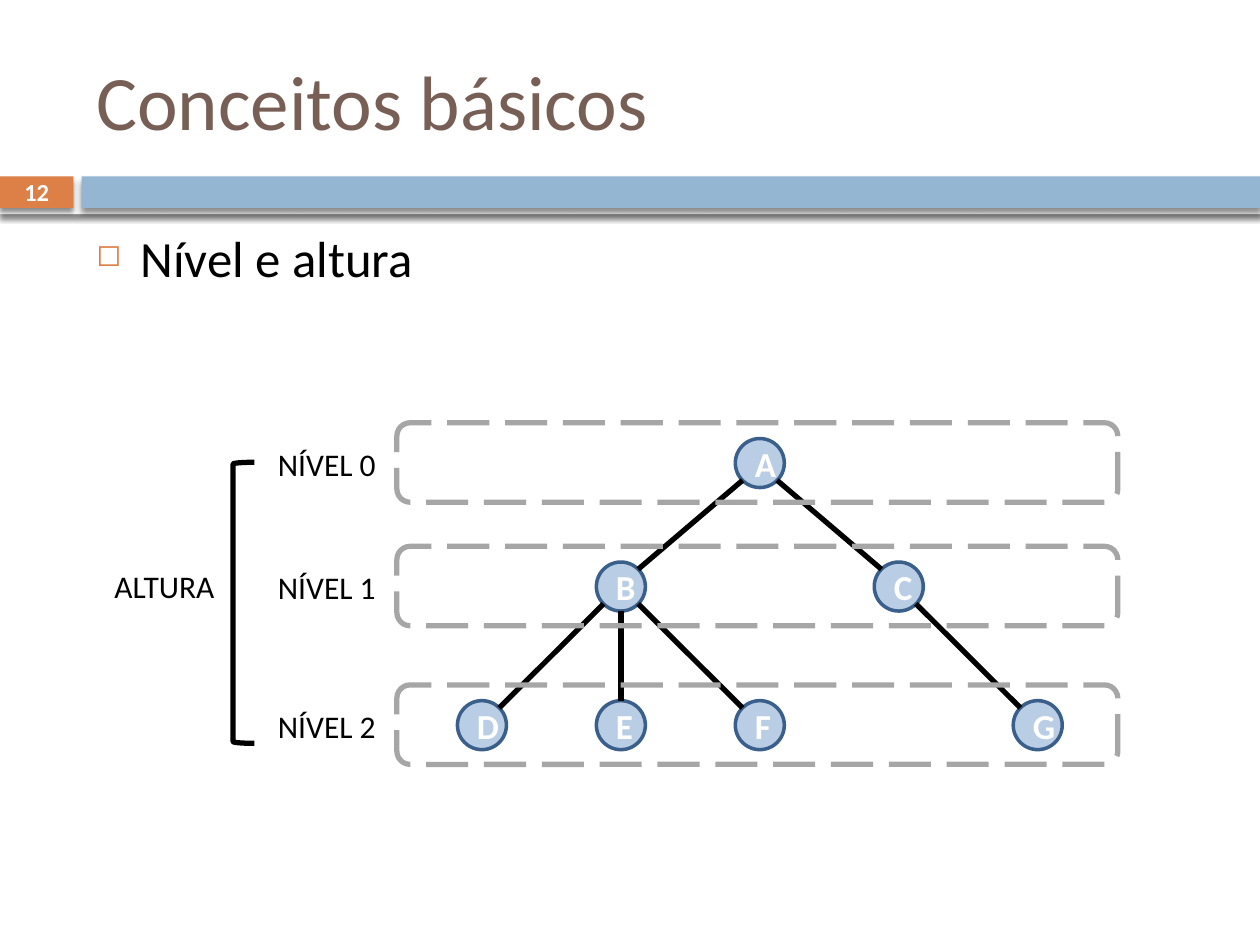
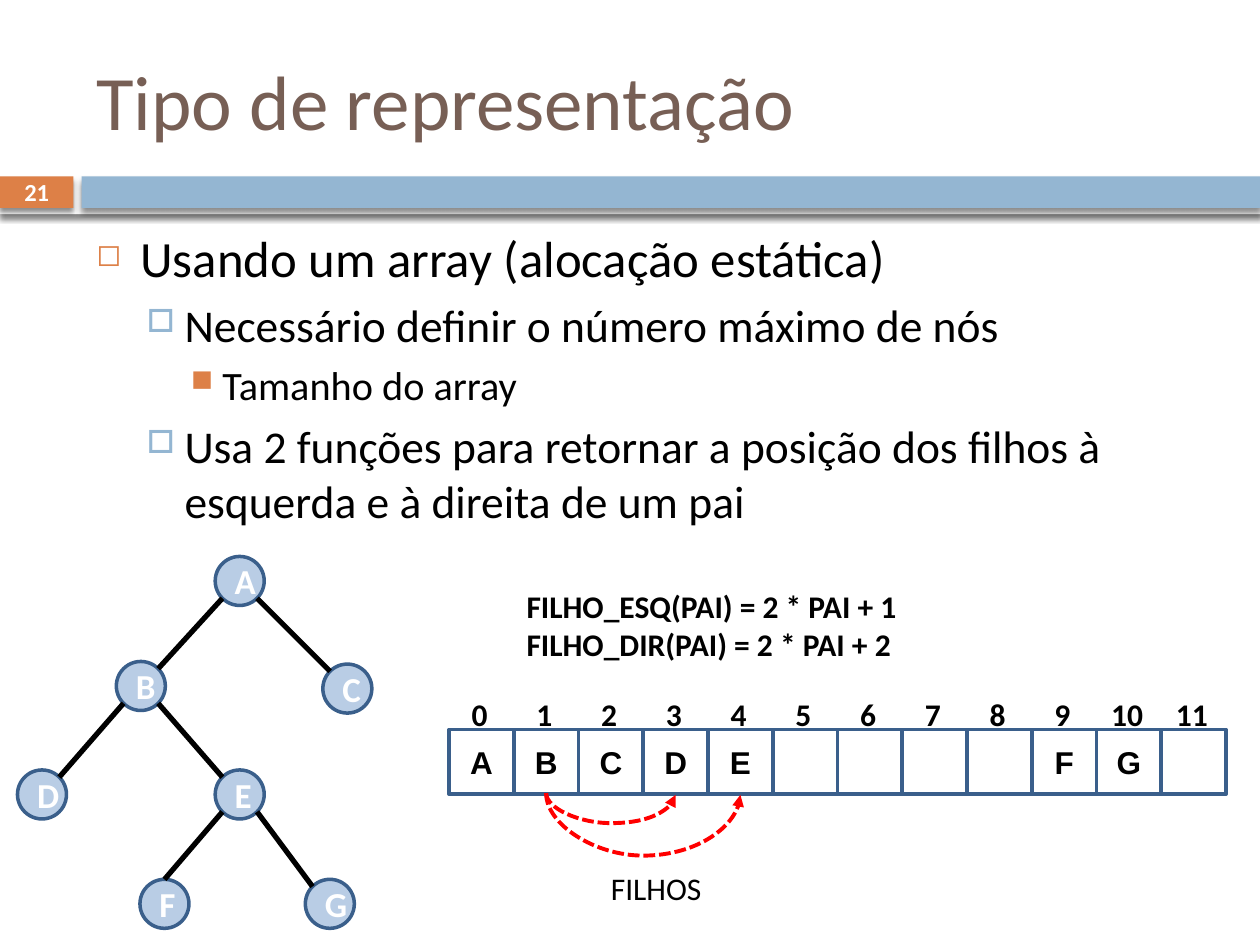
from math import sqrt

from lxml import etree
from pptx import Presentation
from pptx.dml.color import RGBColor
from pptx.enum.dml import MSO_LINE
from pptx.enum.shapes import MSO_CONNECTOR, MSO_SHAPE
from pptx.enum.text import MSO_ANCHOR, PP_ALIGN
from pptx.oxml.ns import qn
from pptx.util import Pt

# Enum members
RECTANGLE, ELLIPSE = MSO_SHAPE.RECTANGLE, MSO_SHAPE.OVAL
ROUNDED, BRACKET = MSO_SHAPE.ROUNDED_RECTANGLE, MSO_SHAPE.LEFT_BRACKET
STRAIGHT, CURVE = MSO_CONNECTOR.STRAIGHT, MSO_CONNECTOR.CURVE
LEFT, CENTER = PP_ALIGN.LEFT, PP_ALIGN.CENTER
TOP, MIDDLE = MSO_ANCHOR.TOP, MSO_ANCHOR.MIDDLE
LONG_DASH, SHORT_DASH = MSO_LINE.LONG_DASH, MSO_LINE.SQUARE_DOT

# Colours
WHITE = RGBColor(0xFF, 0xFF, 0xFF)
BLACK = RGBColor(0x00, 0x00, 0x00)
ORANGE = RGBColor(0xDD, 0x80, 0x47)
BLUE = RGBColor(0x94, 0xB6, 0xD2)
BROWN = RGBColor(0x77, 0x5F, 0x55)
NODE_FILL = RGBColor(0xB9, 0xCD, 0xE5)
NODE_LINE = RGBColor(0x3A, 0x5F, 0x8B)
GRAY = RGBColor(0xA6, 0xA6, 0xA6)
RED = RGBColor(0xFF, 0x00, 0x00)

# Lengths in points
SLIDE_WIDTH, SLIDE_HEIGHT = 720, 540
BODY_BOX = (48, 126, 642, 354)
NODE_SIZE = 28
CELL_SIZE = 37
LABEL_HEIGHT = 29

# Per outline level: text size, left margin, hanging, space before, bullet
LEVELS = [
    (29, 25.2, 25.2, 7, "◻", ORANGE, 60),
    (26, 50.4, 21.6, 5.5, "□", BLUE, 70),
    (23, 72, 18, 5, "■", ORANGE, 75),
]


def points(*values):
    return [Pt(value) for value in values]


def add_xml(parent, tag, **attributes):
    """Append a DrawingML child element and return it."""
    return etree.SubElement(parent, qn(tag), attributes)


def write_text(shape, *lines, size=18, color=BLACK, bold=False, font="Calibri",
               align=CENTER, anchor=TOP):
    """Fill a shape with one paragraph for each line of text."""
    frame = shape.text_frame
    frame.word_wrap = True
    frame.vertical_anchor = anchor
    for index, line in enumerate(lines):
        paragraph = frame.add_paragraph() if index else frame.paragraphs[0]
        paragraph.alignment = align
        run = paragraph.add_run()
        run.text = line
        run.font.size, run.font.bold, run.font.name = Pt(size), bold, font
        run.font.color.rgb = color


def add_text(slide, box, *lines, **text_format):
    text_box = slide.shapes.add_textbox(*points(*box))
    write_text(text_box, *lines, **text_format)
    return text_box


def style_line(line, color, width, dash=None):
    line.color.rgb = color
    line.width = Pt(width)
    if dash:
        line.dash_style = dash


def add_shape(slide, kind, box, fill=None, line=None, width=2, dash=None):
    shape = slide.shapes.add_shape(kind, *points(*box))
    shape.shadow.inherit = False
    if fill is None:
        shape.fill.background()
    else:
        shape.fill.solid()
        shape.fill.fore_color.rgb = fill
    if line is None:
        shape.line.fill.background()
    else:
        style_line(shape.line, line, width, dash)
    return shape


def add_connector(slide, kind, start, end, color, width, dash=None):
    connector = slide.shapes.add_connector(kind, *points(*start, *end))
    style_line(connector.line, color, width, dash)
    add_xml(connector._element.spPr, "a:effectLst")
    return connector


def add_shadow(shape):
    """Drop a soft black shadow straight down."""
    effects = shape._element.spPr.find(qn("a:effectLst"))
    shadow = add_xml(effects, "a:outerShdw", blurRad=str(Pt(3)), dist=str(Pt(2.4)),
                     dir="5400000", algn="ctr", rotWithShape="0")
    color = add_xml(shadow, "a:srgbClr", val=str(BLACK))
    add_xml(color, "a:alpha", val="45000")


# Title, shadowed bands and slide number
def draw_header(slide, title, number):
    for box, fill in [((0, 97.2, SLIDE_WIDTH, 25.2), WHITE),
                      ((0, 100.8, 42, 18), ORANGE),
                      ((46.6, 100.8, SLIDE_WIDTH - 46.6, 18), BLUE)]:
        add_shadow(add_shape(slide, RECTANGLE, box, fill=fill))
    add_text(slide, (48, 18, 642, 78), title, size=44, color=BROWN,
             align=LEFT, anchor=MIDDLE)
    add_text(slide, (0, 100, 42, 19.5), str(number), size=14, color=WHITE,
             bold=True, anchor=MIDDLE)


# Bulleted outline: a list of (level, text)
def draw_outline(slide, box, items):
    text_box = add_text(slide, box, *[text for _, text in items], align=LEFT)
    for index, (level, _) in enumerate(items):
        size, margin, hanging, before, bullet, color, percent = LEVELS[level]
        paragraph = text_box.text_frame.paragraphs[index]
        paragraph.level = level
        paragraph.space_before = Pt(before if index else 0)
        properties = paragraph._p.get_or_add_pPr()
        properties.set("marL", str(Pt(margin)))
        properties.set("indent", str(-Pt(hanging)))
        bullet_color = add_xml(properties, "a:buClr")
        add_xml(bullet_color, "a:srgbClr", val=str(color))
        add_xml(properties, "a:buSzPct", val=str(percent * 1000))
        add_xml(properties, "a:buChar", char=bullet)
        paragraph.runs[0].font.size = Pt(size)


# Tree: node offsets from its corner, edges as parent-child pairs
def draw_tree(slide, left, top, nodes, edges, top_children=""):
    radius = NODE_SIZE / 2
    diagonal = radius / sqrt(2)
    for name, (x, y) in nodes.items():
        node = add_shape(slide, ELLIPSE, (left + x, top + y, NODE_SIZE, NODE_SIZE),
                         fill=NODE_FILL, line=NODE_LINE)
        write_text(node, name, size=20, color=WHITE, bold=True, anchor=MIDDLE)

    def rim(name, side, direction):
        """Point on a node's rim; side is -1, 0 or 1, direction -1 is up."""
        x, y = nodes[name]
        reach = diagonal if side else radius
        return (left + x + radius + side * diagonal,
                top + y + radius + direction * reach)

    for parent, child in edges:
        distance = nodes[child][0] - nodes[parent][0]
        side = (distance > 0) - (distance < 0)
        child_side = 0 if child in top_children else -side
        add_connector(slide, STRAIGHT, rim(parent, side, 1),
                      rim(child, child_side, -1), BLACK, 3)


# Levels diagram: tree, level bands with labels, and the height bracket
def draw_levels(slide, left, top):
    rows = (0, 70.6, 149.8)
    column = 79.4
    places = {"A": (2, 0), "D": (0, 2), "B": (1, 1), "C": (3, 1),
              "F": (2, 2), "G": (4, 2), "E": (1, 2)}
    nodes = {name: (x * column, rows[level]) for name, (x, level) in places.items()}
    draw_tree(slide, left + 230.4, top, nodes, ["AB", "BD", "AC", "BE", "BF", "CG"])
    for level, row in enumerate(rows):
        add_text(slide, (left + 92.8, top + row, 126, LABEL_HEIGHT), f"NÍVEL {level}")
        add_shape(slide, ROUNDED, (left + 195.8, top + row - 9, 412, 45.4),
                  line=GRAY, width=3, dash=LONG_DASH)
    add_shape(slide, BRACKET, (left + 102.2, top + 13.6, 12.2, 160.6),
              line=BLACK, width=3)
    add_text(slide, (left, top + rows[1] - 0.8, 126, LABEL_HEIGHT), "ALTURA")


# Dashed arc below the array, from one point to another on its right
def draw_arc(slide, start_x, end_x, top, depth):
    thickness = 1
    span = end_x - start_x
    x = (start_x + end_x - thickness) / 2
    y = top + (thickness - span) / 2
    arc = add_connector(slide, CURVE, (x, y), (x + thickness, y + span),
                        RED, 2.25, SHORT_DASH)
    add_xml(arc.line._get_or_add_ln(), "a:tailEnd", type="triangle")
    properties = arc._element.spPr
    properties.xfrm.set("rot", "16200000")
    properties.xfrm.set("flipH", "1")
    adjustments = properties.find(qn("a:prstGeom")).find(qn("a:avLst"))
    add_xml(adjustments, "a:gd", name="adj1",
            fmla=f"val {round(depth / thickness * 100000)}")


# Array diagram: formulas, indexed cells, and arcs from a parent to its children
def draw_array(slide, left, top):
    add_text(slide, (left + 37.2, top - 85, 277, 93.6),
             "FILHO_ESQ(PAI) = 2 * PAI + 1", "FILHO_DIR(PAI) = 2 * PAI + 2",
             bold=True, align=LEFT)
    add_text(slide, (left + 72.4, top + 76.4, 92, LABEL_HEIGHT), "FILHOS")
    cells = ["A", "B", "C", "D", "E", "", "", "", "", "F", "G", ""]
    for index, value in enumerate(cells):
        x = left + index * CELL_SIZE
        cell = add_shape(slide, RECTANGLE, (x, top, CELL_SIZE, CELL_SIZE),
                         line=NODE_LINE)
        if value:
            write_text(cell, value, bold=True, font="Arial", anchor=MIDDLE)
        add_text(slide, (x - 1, top - 23, CELL_SIZE, LABEL_HEIGHT), str(index),
                 bold=True)
    parent = 1
    for child, depth in [(2 * parent + 1, 17.3), (2 * parent + 2, 36)]:
        start_x, end_x = [left + (index + 0.5) * CELL_SIZE for index in (parent, child)]
        draw_arc(slide, start_x, end_x, top + 36.4, depth)


def add_slide(presentation, title, number, items):
    slide = presentation.slides.add_slide(presentation.slide_layouts[6])
    draw_header(slide, title, number)
    draw_outline(slide, BODY_BOX, items)
    return slide


def main():
    presentation = Presentation()
    presentation.slide_width, presentation.slide_height = points(SLIDE_WIDTH, SLIDE_HEIGHT)

    # Levels and height
    slide = add_slide(presentation, "Conceitos básicos", 12, [(0, "Nível e altura")])
    draw_levels(slide, 31, 250.6)

    # Array representation
    slide = add_slide(presentation, "Tipo de representação", 21, [
        (0, "Usando um array (alocação estática)"),
        (1, "Necessário definir o número máximo de nós"),
        (2, "Tamanho do array"),
        (1, "Usa 2 funções para retornar a posição dos filhos à esquerda "
            "e à direita de um pai"),
    ])
    nodes = {"A": (113, 0), "D": (0, 122), "B": (56.5, 60), "G": (164.5, 184.5),
             "E": (113, 122), "F": (70, 184.5), "C": (174.5, 61.5)}
    draw_tree(slide, 10, 318, nodes, ["AB", "BD", "EG", "EF", "BE", "AC"],
              top_children="F")
    draw_array(slide, 256.6, 416.8)

    presentation.save("out.pptx")


if __name__ == "__main__":
    main()
